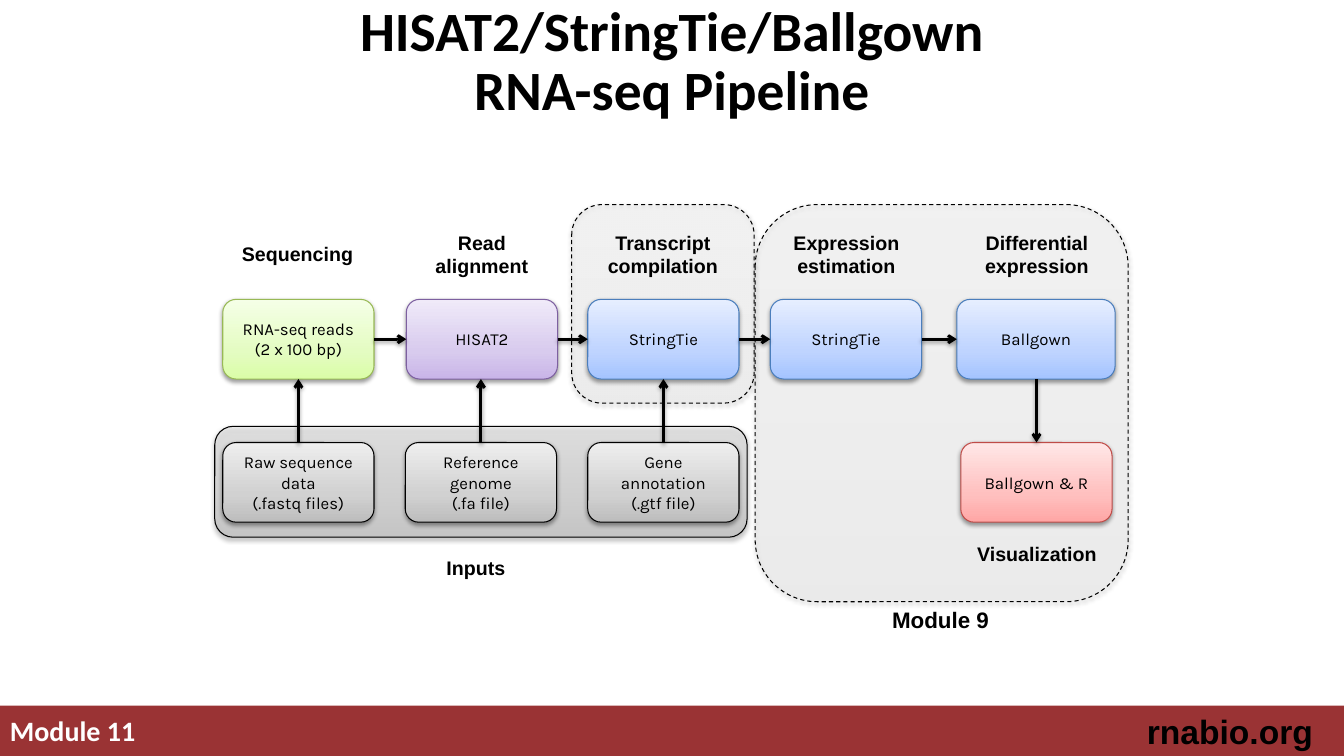
from pptx import Presentation
from pptx.dml.color import RGBColor
from pptx.enum.dml import MSO_LINE
from pptx.enum.shapes import MSO_CONNECTOR, MSO_SHAPE
from pptx.enum.text import MSO_ANCHOR, PP_ALIGN
from pptx.oxml import parse_xml
from pptx.oxml.ns import nsdecls
from pptx.util import Inches, Pt

RECT, ROUND = MSO_SHAPE.RECTANGLE, MSO_SHAPE.ROUNDED_RECTANGLE
STRAIGHT, DASH = MSO_CONNECTOR.STRAIGHT, MSO_LINE.DASH
LEFT, CENTER, RIGHT = PP_ALIGN.LEFT, PP_ALIGN.CENTER, PP_ALIGN.RIGHT
TOP, MIDDLE = MSO_ANCHOR.TOP, MSO_ANCHOR.MIDDLE

GRAY = ("BDBDBD", "D1D1D1", "EEEEEE", "000000")
GREEN = ("DAFDA7", "E4FCC2", "F5FFE7", "98B955")
PURPLE = ("C9B5E8", "D8CBEE", "F0EAF9", "7D60A0")
BLUE = ("A4C4FF", "BFD4FF", "E6EEFF", "4B7EBC")
RED = ("FFA6A5", "FFC0BF", "FFE7E7", "BF4C48")

BOX_W, BOX_H = 1.5, 0.79
STEP_Y, INPUT_Y = 2.97, 4.39
STEPS = [
    (2.21, 1.5, "RNA-seq reads (2 x 100 bp)", GREEN),
    (4.03, 1.5, "HISAT2", PURPLE),
    (5.83, 1.5, "StringTie", BLUE),
    (7.64, 1.5, "StringTie", BLUE),
    (9.49, 1.57, "Ballgown", BLUE),
]
HEADINGS = [
    (4.1, 1.36, "Read alignment"),
    (5.67, 1.81, "Transcript compilation"),
    (7.49, 1.81, "Expression estimation"),
    (9.38, 1.81, "Differential expression"),
]
INPUTS = [
    "Raw sequence data\n(.fastq files)",
    "Reference genome\n(.fa file)",
    "Gene annotation\n(.gtf file)",
]


def rgb(value):
    return RGBColor.from_string(value)


def write(tf, text, size=14, font="Arial", color="000000", bold=True,
          align=CENTER, anchor=TOP, wrap=True, spacing=None):
    tf.word_wrap = wrap
    tf.vertical_anchor = anchor
    for i, line in enumerate(text.split("\n")):
        p = tf.add_paragraph() if i else tf.paragraphs[0]
        p.text = line
        p.alignment = align
        p.line_spacing = spacing
        for r in p.runs:
            r.font.size = Pt(size)
            r.font.name = font
            r.font.bold = bold
            r.font.color.rgb = rgb(color)


class Slide:
    """Holds the slide and draws its elements in one style."""

    def __init__(self, prs):
        self.s = prs.slides.add_slide(prs.slide_layouts[6])

    def shadow(self, sp):
        sp._element.spPr.append(parse_xml(
            f'<a:effectLst {nsdecls("a")}><a:outerShdw blurRad="{Pt(3.1)}" '
            f'dist="{Pt(1.6)}" dir="5400000" rotWithShape="0">'
            '<a:srgbClr val="000000"><a:alpha val="38000"/></a:srgbClr>'
            '</a:outerShdw></a:effectLst>'))

    def bar(self, x, y, w, h, color):
        sp = self.s.shapes.add_shape(RECT, *map(Inches, (x, y, w, h)))
        sp.shadow.inherit = False
        sp.fill.solid()
        sp.fill.fore_color.rgb = rgb(color)
        sp.line.fill.background()

    def text(self, x, y, w, h, text, **style):
        sp = self.s.shapes.add_textbox(*map(Inches, (x, y, w, h)))
        write(sp.text_frame, text, **style)

    def box(self, x, y, w, h, palette, text="", alpha=100, dash=None):
        sp = self.s.shapes.add_shape(ROUND, *map(Inches, (x, y, w, h)))
        stops = "".join(
            f'<a:gs pos="{pos}000"><a:srgbClr val="{color}">'
            f'<a:alpha val="{alpha}000"/></a:srgbClr></a:gs>'
            for pos, color in zip((0, 35, 100), palette))
        sp._element.spPr.insert(2, parse_xml(
            f'<a:gradFill {nsdecls("a")} rotWithShape="1"><a:gsLst>{stops}'
            '</a:gsLst><a:lin ang="16200000" scaled="0"/></a:gradFill>'))
        sp.line.color.rgb = rgb(palette[3])
        sp.line.width = Pt(0.75)
        if dash:
            sp.line.dash_style = dash
        self.shadow(sp)
        if text:
            write(sp.text_frame, text, size=12, font="Karla", bold=False,
                  anchor=MIDDLE)

    def arrow(self, x1, y1, x2, y2):
        sp = self.s.shapes.add_connector(
            STRAIGHT, *map(Inches, (x1, y1, x2, y2)))
        sp.line.color.rgb = rgb("000000")
        sp.line.width = Pt(2)
        sp.line._get_or_add_ln().append(
            parse_xml(f'<a:tailEnd {nsdecls("a")} type="arrow"/>'))
        self.shadow(sp)


def main():
    prs = Presentation()
    prs.slide_width, prs.slide_height = Inches(13.33), Inches(7.5)
    s = Slide(prs)

    s.bar(0, 7, 13.33, 0.5, "9A3334")
    s.text(0, 7.03, 7.33, 0.44, "Module 11", size=20, font="Calibri",
           color="FFFFFF", align=LEFT)
    s.text(10.54, 7, 2.58, 0.5, "rnabio.org", size=24, align=RIGHT)
    s.text(1.83, 0, 9.67, 1.25, "HISAT2/StringTie/Ballgown\vRNA-seq Pipeline",
           size=39.6, font="Calibri", anchor=MIDDLE, spacing=0.9)

    s.box(5.67, 2.03, 1.81, 1.97, GRAY, alpha=13, dash=DASH)
    s.box(7.49, 2.03, 3.7, 3.94, GRAY, alpha=13, dash=DASH)
    s.text(8.75, 5.96, 1.17, 0.37, "Module 9", size=16, align=LEFT, wrap=False)
    s.box(2.13, 4.23, 5.28, 1.1, GRAY, alpha=51)
    s.text(4.33, 5.47, 0.79, 0.34, "Inputs", align=LEFT, wrap=False)

    s.text(2.3, 2.35, 1.31, 0.34, "Sequencing", align=LEFT, wrap=False)
    for x, w, heading in HEADINGS:
        s.text(x, 2.24, w, 0.57, heading)
    for x, w, tool, palette in STEPS:
        s.box(x, STEP_Y, w, BOX_H, palette, tool)
    s.box(9.53, INPUT_Y, BOX_W, BOX_H, RED, "Ballgown & R")
    s.text(9.38, 5.33, 1.81, 0.34, "Visualization")

    mid_y, bottom = STEP_Y + BOX_H / 2, STEP_Y + BOX_H
    for (x, w, *_), (next_x, *_) in zip(STEPS, STEPS[1:]):
        s.arrow(x + w, mid_y, next_x, mid_y)
    s.arrow(10.28, bottom, 10.28, INPUT_Y)
    for i, text in enumerate(INPUTS):
        x = 2.21 + 1.81 * i
        s.box(x, INPUT_Y, BOX_W, BOX_H, GRAY, text)
        s.arrow(x + BOX_W / 2, INPUT_Y, x + BOX_W / 2, bottom)

    prs.save("out.pptx")


if __name__ == "__main__":
    main()
